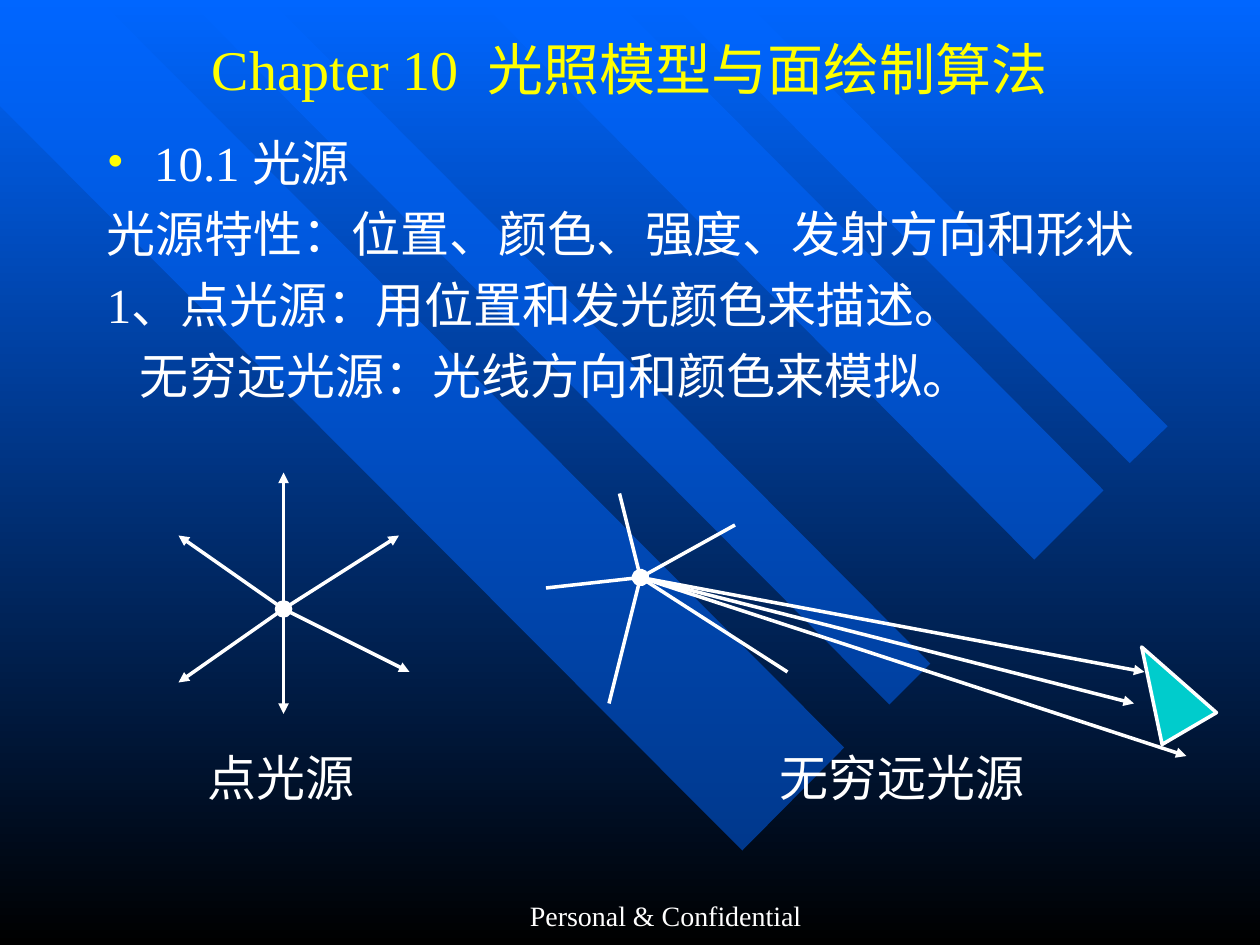
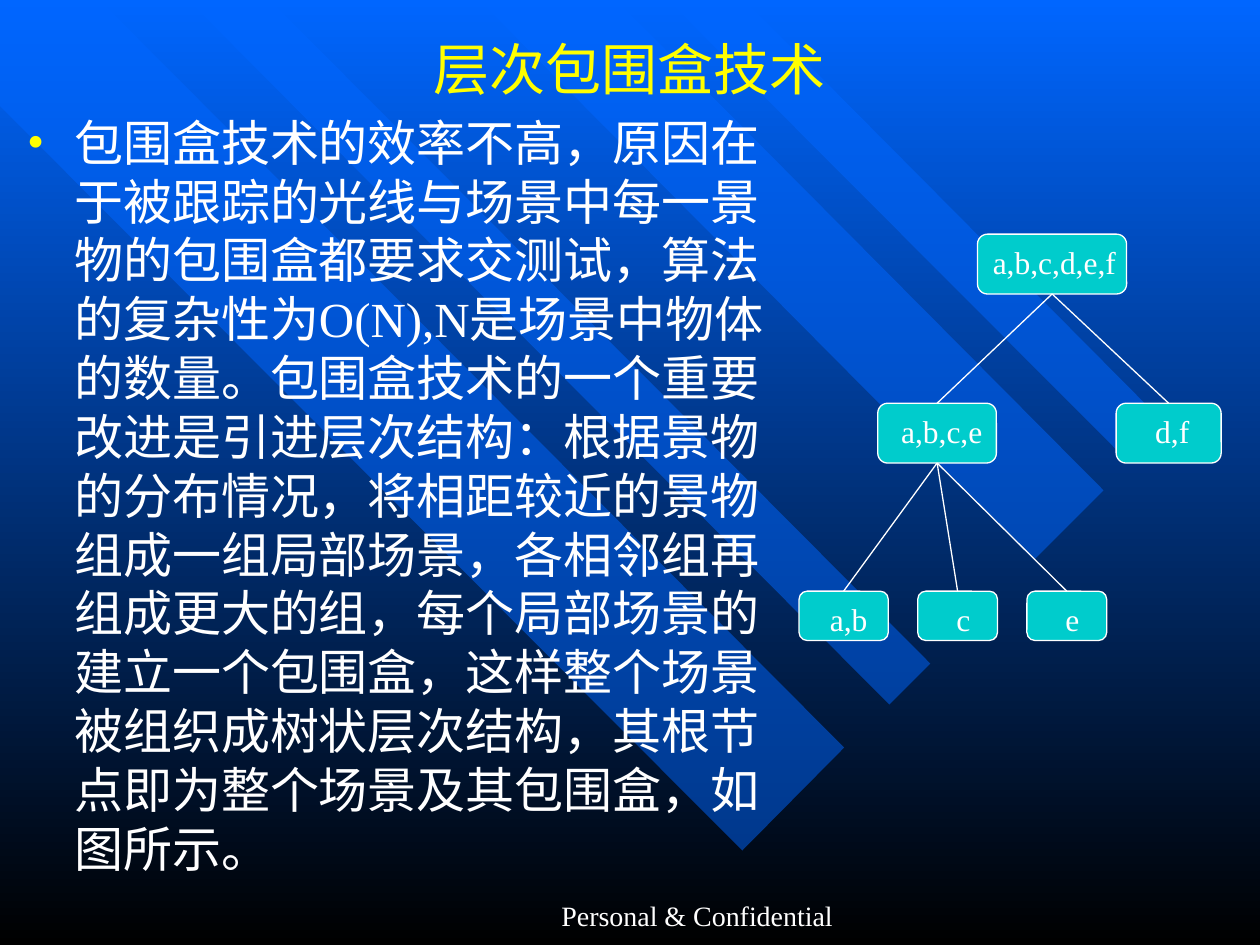
import dataclasses

import lxml.etree
import pptx
import pptx.dml.color
import pptx.enum.dml
import pptx.enum.shapes
import pptx.enum.text
import pptx.oxml.ns
import pptx.util

qn = pptx.oxml.ns.qn
SHAPE = pptx.enum.shapes.MSO_SHAPE
ALIGN = pptx.enum.text.PP_ALIGN
ANCHOR = pptx.enum.text.MSO_ANCHOR


@dataclasses.dataclass(frozen=True)
class Theme:
    blue: str = "0066FF"
    black: str = "000000"
    white: str = "FFFFFF"
    gold: str = "FFFF00"
    teal: str = "00CCCC"
    serif: str = "Times New Roman"
    sans: str = "Arial"
    asian: str = "Noto Sans CJK SC"
    title: int = 32
    body: int = 28
    node: int = 18
    foot: int = 16
    thick: float = 2
    thin: float = 0.75
    cols: int = 120
    rows: int = 90


BANDS = [
    [(80.4, 71.2), (9.5, 0), (0, 0), (0, 10.1), (70.7, 81)],
    [(25.7, 0), (88.6, 63.2), (84.7, 67.1), (17.9, 0)],
    [(58.7, 0), (105.1, 46.7), (98.5, 53.3), (45.6, 0)],
    [(63.6, 0), (107.6, 44.1), (111.2, 40.6), (70.9, 0)],
]
FOOTER = "Personal & Confidential"
HANG = 4.5
DOT = {"type": "oval", "w": "lg", "len": "lg"}
ARROW = {"type": "triangle"}


class Deck:
    def __init__(self, theme):
        self.theme = theme
        self.deck = pptx.Presentation()
        self.deck.slide_width = pptx.util.Inches(10)
        self.deck.slide_height = pptx.util.Inches(7.5)
        self.slide = None

    def x(self, cols):
        return round(self.deck.slide_width * cols / self.theme.cols)

    def y(self, rows):
        return round(self.deck.slide_height * rows / self.theme.rows)

    def box(self, left, top, width, height):
        return self.x(left), self.y(top), self.x(width), self.y(height)

    def tint(self, color, value):
        color.rgb = pptx.dml.color.RGBColor.from_string(value)

    def paint(self, shape, fill):
        shape.shadow.inherit = False
        shape.fill.solid()
        self.tint(shape.fill.fore_color, fill)

    def stroke(self, line, width):
        line.width = pptx.util.Pt(width)
        self.tint(line.color, self.theme.white)

    def page(self, middle):
        self.slide = self.deck.slides.add_slide(self.deck.slide_layouts[6])
        fill = self.slide.background.fill
        fill.gradient()
        fill.gradient_angle = 270
        for stop, color in zip(fill.gradient_stops, (self.theme.blue, self.theme.black)):
            self.tint(stop.color, color)
        for points in BANDS:
            self.band(points)
        self.text((middle - 23, 85, 46, 6), [FOOTER], self.theme.foot, align=ALIGN.CENTER)

    def band(self, points):
        pen = self.slide.shapes.build_freeform(
            self.x(points[0][0]), self.y(points[0][1]), scale=1.0)
        pen.add_line_segments([(self.x(col), self.y(row)) for col, row in points[1:]], close=True)
        shape = pen.convert_to_shape()
        self.paint(shape, self.theme.blue)
        shape.line.fill.background()
        color = shape.fill._xPr.find(qn("a:solidFill"))[0]
        lxml.etree.SubElement(color, qn("a:alpha"), val="50000")

    def style(self, run, size, color=None, font=None):
        run.font.size = pptx.util.Pt(size)
        run.font.name = font or self.theme.serif
        self.tint(run.font.color, color or self.theme.white)
        latin = run.font._element.find(qn("a:latin"))
        latin.addnext(latin.makeelement(qn("a:ea"), {"typeface": self.theme.asian}))

    def text(self, area, lines, size, color=None, font=None, align=ALIGN.LEFT):
        frame = self.slide.shapes.add_textbox(*self.box(*area)).text_frame
        frame.word_wrap = True
        frame.text = "\n".join(lines)
        for index, para in enumerate(frame.paragraphs):
            para.alignment = align
            if index:
                para.space_before = pptx.util.Pt(7)
            for run in para.runs:
                self.style(run, size, color, font)
        return frame

    def indent(self, para, left, first):
        props = para._p.get_or_add_pPr()
        props.set("marL", str(self.x(left)))
        props.set("indent", str(self.x(first)))
        return props

    def bullet(self, para):
        props = self.indent(para, HANG, -HANG)
        color = lxml.etree.SubElement(props, qn("a:buClr"))
        lxml.etree.SubElement(color, qn("a:srgbClr"), val=self.theme.gold)
        lxml.etree.SubElement(props, qn("a:buFont"), typeface=self.theme.serif)
        lxml.etree.SubElement(props, qn("a:buChar"), char="•")

    def title(self, head, tail=None):
        size, gold = self.theme.title, self.theme.gold
        frame = self.text((9, 1, 102, 11), [head], size, gold, align=ALIGN.CENTER)
        frame.vertical_anchor = ANCHOR.MIDDLE
        if tail:
            gap, rest = (frame.paragraphs[0].add_run() for _ in range(2))
            gap.text, rest.text = " ", tail
            self.style(gap, size, gold)
            self.style(rest, size, gold)
            gap.font._element.set("spc", "800")

    def line(self, start, end, width, head=None, tail=None):
        link = self.slide.shapes.add_connector(
            pptx.enum.shapes.MSO_CONNECTOR.STRAIGHT,
            self.x(start[0]), self.y(start[1]), self.x(end[0]), self.y(end[1]))
        self.stroke(link.line, width)
        for tag, kind in (("a:headEnd", head), ("a:tailEnd", tail)):
            if kind:
                lxml.etree.SubElement(link.line._ln, qn(tag), kind)
        lxml.etree.SubElement(link._element.spPr, qn("a:effectLst"))
        return link

    def rays(self, hub, tips, plain=()):
        ends = [(tip, ARROW) for tip in tips] + [(tip, None) for tip in plain]
        for index, (tip, tail) in enumerate(ends):
            self.line(hub, tip, self.theme.thick, None if index else DOT, tail)

    def shape(self, kind, area, width):
        shape = self.slide.shapes.add_shape(kind, *self.box(*area))
        self.paint(shape, self.theme.teal)
        self.stroke(shape.line, width)
        return shape

    def node(self, area, label, inset):
        shape = self.shape(SHAPE.ROUNDED_RECTANGLE, area, self.theme.thin)
        frame = shape.text_frame
        frame.word_wrap = False
        frame.vertical_anchor = ANCHOR.TOP
        frame.margin_left = self.x(inset)
        frame.text = label
        frame.paragraphs[0].alignment = ALIGN.LEFT
        self.style(frame.paragraphs[0].runs[0], self.theme.node)
        return shape

    def join(self, parent, child):
        link = self.line((0, 0), (1, 1), self.theme.thin)
        link.begin_connect(parent, 2)
        link.end_connect(child, 0)


def lights(deck):
    deck.page(63.4)
    deck.title("Chapter 10", "光照模型与面绘制算法")
    body = deck.text((9, 12, 102, 30.5), [
        "10.1 光源",
        "光源特性：位置、颜色、强度、发射方向和形状",
        "1、点光源：用位置和发光颜色来描述。",
        "无穷远光源：光线方向和颜色来模拟。",
    ], deck.theme.body)
    first, *_, last = body.paragraphs
    deck.bullet(first)
    deck.indent(last, 3.1, 0)
    deck.rays((27, 58), [(27, 45), (38, 51), (17, 51), (17, 65), (39, 64), (27, 68)])
    deck.rays((61, 55), [(109, 64), (108, 67), (113, 72)],
              [(70, 50), (75, 64), (58, 67), (59, 47), (52, 56)])
    target = deck.shape(SHAPE.ISOSCELES_TRIANGLE, (108, 61, 6, 9), deck.theme.thick)
    target.rotation = 329.7
    for left, width, label in ((18.6, 18, "点光源"), (73.1, 27.5, "无穷远光源")):
        deck.text((left, 70.6, width, 6.8), [label], deck.theme.body, font=deck.theme.sans)


def boxes(deck):
    deck.page(66.4)
    deck.title("层次包围盒技术")
    body = deck.text((1.4, 10.1, 75.6, 74.6), [
        "包围盒技术的效率不高，原因在于被跟踪的光线与场景中每一景物的包围盒都要求交测试，"
        "算法的复杂性为O(N),N是场景中物体的数量。包围盒技术的一个重要改进是引进层次结构："
        "根据景物的分布情况，将相距较近的景物组成一组局部场景，各相邻组再组成更大的组，"
        "每个局部场景的建立一个包围盒，这样整个场景被组织成树状层次结构，"
        "其根节点即为整个场景及其包围盒，如图所示。",
    ], deck.theme.body)
    deck.bullet(body.paragraphs[0])
    root = deck.node((93.1, 22.3, 14.2, 5.7), "a,b,c,d,e,f", 1.2)
    left = deck.node((83.6, 38.4, 11.3, 5.7), "a,b,c,e", 1.95)
    right = deck.node((106.3, 38.4, 10, 5.7), "d,f", 3.45)
    leaves = [
        deck.node((col, 56.3, width, 4.7), label, inset)
        for col, width, label, inset in (
            (76.1, 8.5, "a,b", 2.7), (87.4, 7.6, "c", 3.45), (97.8, 7.6, "e", 3.45))
    ]
    for parent, children in ((root, (left, right)), (left, leaves)):
        for child in children:
            deck.join(parent, child)


def main():
    deck = Deck(Theme())
    lights(deck)
    boxes(deck)
    deck.deck.save("out.pptx")


if __name__ == "__main__":
    main()
